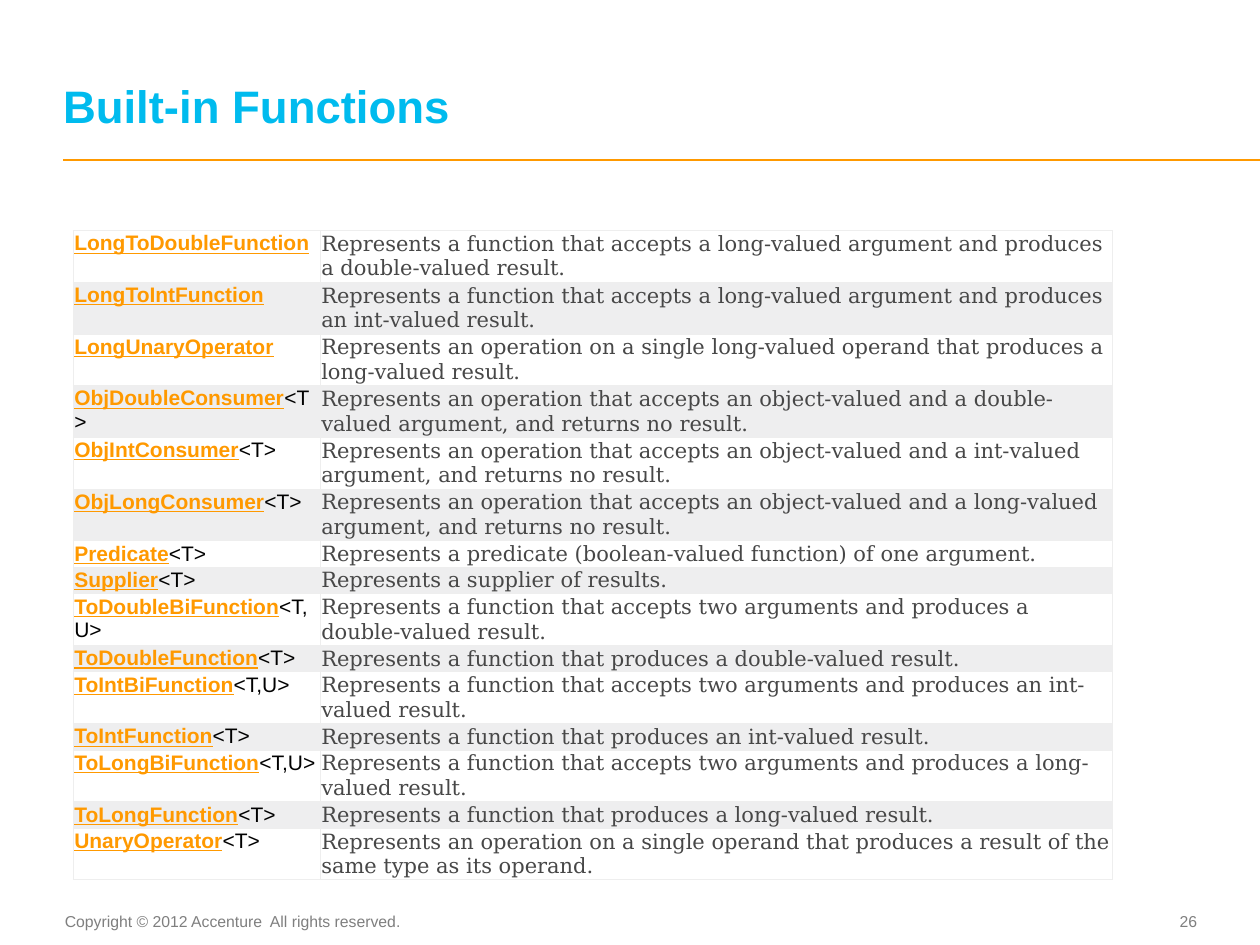
"""Build the slide that lists built-in functional interfaces in a table."""
import pptx
import pptx.dml.color
import pptx.enum.shapes
import pptx.enum.text
import pptx.oxml
import pptx.oxml.ns
import pptx.util

Inches = pptx.util.Inches
Pt = pptx.util.Pt
RGBColor = pptx.dml.color.RGBColor
Anchor = pptx.enum.text.MSO_ANCHOR
Align = pptx.enum.text.PP_ALIGN

BLUE = RGBColor(0x00, 0xBB, 0xEE)
ORANGE = RGBColor(0xFF, 0x99, 0x00)
BLACK = RGBColor(0x00, 0x00, 0x00)
GREY = RGBColor(0x7F, 0x7F, 0x7F)
DARK = RGBColor(0x47, 0x47, 0x47)
BANDS = (RGBColor(0xFF, 0xFF, 0xFF), RGBColor(0xEE, 0xEE, 0xEF))
EDGE = RGBColor(0xEE, 0xEE, 0xEE)

TITLE = "Built-in Functions"
ROWS = [
    ("LongToDoubleFunction", "", "Represents a function that accepts a long-valued argument and produces a double-valued result."),
    ("LongToIntFunction", "", "Represents a function that accepts a long-valued argument and produces an int-valued result."),
    ("LongUnaryOperator", "", "Represents an operation on a single long-valued operand that produces a long-valued result."),
    ("ObjDoubleConsumer", "<T>", "Represents an operation that accepts an object-valued and a double-valued argument, and returns no result."),
    ("ObjIntConsumer", "<T>", "Represents an operation that accepts an object-valued and a int-valued argument, and returns no result."),
    ("ObjLongConsumer", "<T>", "Represents an operation that accepts an object-valued and a long-valued argument, and returns no result."),
    ("Predicate", "<T>", "Represents a predicate (boolean-valued function) of one argument."),
    ("Supplier", "<T>", "Represents a supplier of results."),
    ("ToDoubleBiFunction", "<T,U>", "Represents a function that accepts two arguments and produces a double-valued result."),
    ("ToDoubleFunction", "<T>", "Represents a function that produces a double-valued result."),
    ("ToIntBiFunction", "<T,U>", "Represents a function that accepts two arguments and produces an int-valued result."),
    ("ToIntFunction", "<T>", "Represents a function that produces an int-valued result."),
    ("ToLongBiFunction", "<T,U>", "Represents a function that accepts two arguments and produces a long-valued result."),
    ("ToLongFunction", "<T>", "Represents a function that produces a long-valued result."),
    ("UnaryOperator", "<T>", "Represents an operation on a single operand that produces a result of the same type as its operand."),
]
FOOTERS = [
    ("Copyright © 2012 Accenture  All rights reserved.", (0.49, 7.19, 2.81, 0.25),
     (0, 0.05, 0.1, 0.05), Anchor.TOP, Align.CENTER),
    ("26", (8.91, 7.18, 0.59, 0.27), (0, 0, 0, 0), Anchor.MIDDLE, Align.RIGHT),
]
COLS = (1.96, 6.29)
SHORT, TALL, LIMIT = 0.21, 0.41, 66

HEAD = {"name": "Arial", "size": Pt(26), "bold": True}
LINK = {"name": "Arial", "size": Pt(12), "bold": True, "underline": True}
TYPE = {"name": "Arial", "size": Pt(12), "bold": False}
BODY = {"name": "DejaVu Serif", "size": Pt(12), "bold": False}
FOOT = {"name": "Arial", "size": Pt(9)}


def inset(frame, sides):
    for side, gap in zip(("left", "top", "right", "bottom"), sides):
        setattr(frame, "margin_" + side, Inches(gap))


def write(para, text, style, color):
    run = para.add_run()
    run.text = text
    for key, value in style.items():
        setattr(run.font, key, value)
    run.font.color.rgb = color


def place(shape, box):
    for key, value in zip(("left", "top", "width", "height"), box):
        setattr(shape, key, Inches(value))


def border(cell):
    props = cell._tc.get_or_add_tcPr()
    for tag in ("lnL", "lnR", "lnT", "lnB"):
        props.append(pptx.oxml.parse_xml(
            f'<a:{tag} {pptx.oxml.ns.nsdecls("a")} w="{Pt(0.6)}"><a:solidFill>'
            f'<a:srgbClr val="{EDGE}"/></a:solidFill></a:{tag}>'))


def add_title(slide):
    title = slide.shapes.title
    place(title, (0.5, 0.19, 8.97, 0.86))
    frame = title.text_frame
    inset(frame, (0, 0, 0, 0))
    frame.vertical_anchor = Anchor.BOTTOM
    para = frame.paragraphs[0]
    para.alignment = Align.LEFT
    para.line_spacing = Pt(26)
    write(para, TITLE, HEAD, BLUE)


def add_rule(slide):
    kind = pptx.enum.shapes.MSO_CONNECTOR.STRAIGHT
    rule = slide.shapes.add_connector(kind, Inches(0.5), Inches(1.27), Inches(10), Inches(1.27))
    rule.line.color.rgb = ORANGE
    rule.line.width = Pt(1)
    rule._element.spPr.append(pptx.oxml.parse_xml(f'<a:effectLst {pptx.oxml.ns.nsdecls("a")}/>'))


def add_footer(slide, text, box, sides, anchor, align):
    shape = slide.shapes.add_textbox(*map(Inches, box))
    frame = shape.text_frame
    frame.word_wrap = True
    frame.vertical_anchor = anchor
    inset(frame, sides)
    para = frame.paragraphs[0]
    para.alignment = align
    write(para, text, FOOT, GREY)


def add_grid(slide):
    heights = [TALL if len(note) > LIMIT else SHORT for _, _, note in ROWS]
    box = (0.58, 1.83, sum(COLS), sum(heights))
    table = slide.shapes.add_table(len(ROWS), len(COLS), *map(Inches, box)).table
    table.first_row = table.horz_banding = False
    for col, width in zip(table.columns, COLS):
        col.width = Inches(width)
    for i, (name, args, note) in enumerate(ROWS):
        table.rows[i].height = Inches(heights[i])
        left, right = table.rows[i].cells
        for cell in (left, right):
            inset(cell, (0.01, 0.01, 0, 0))
            border(cell)
            cell.fill.solid()
            cell.fill.fore_color.rgb = BANDS[i % 2]
        para = left.text_frame.paragraphs[0]
        write(para, name, LINK, ORANGE)
        if args:
            write(para, args, TYPE, BLACK)
        write(right.text_frame.paragraphs[0], note, BODY, DARK)


def main():
    deck = pptx.Presentation()
    deck.slide_width, deck.slide_height = Inches(10), Inches(7.5)
    slide = deck.slides.add_slide(deck.slide_layouts[5])
    add_rule(slide)
    for footer in FOOTERS:
        add_footer(slide, *footer)
    add_grid(slide)
    add_title(slide)
    deck.save("out.pptx")


if __name__ == "__main__":
    main()
